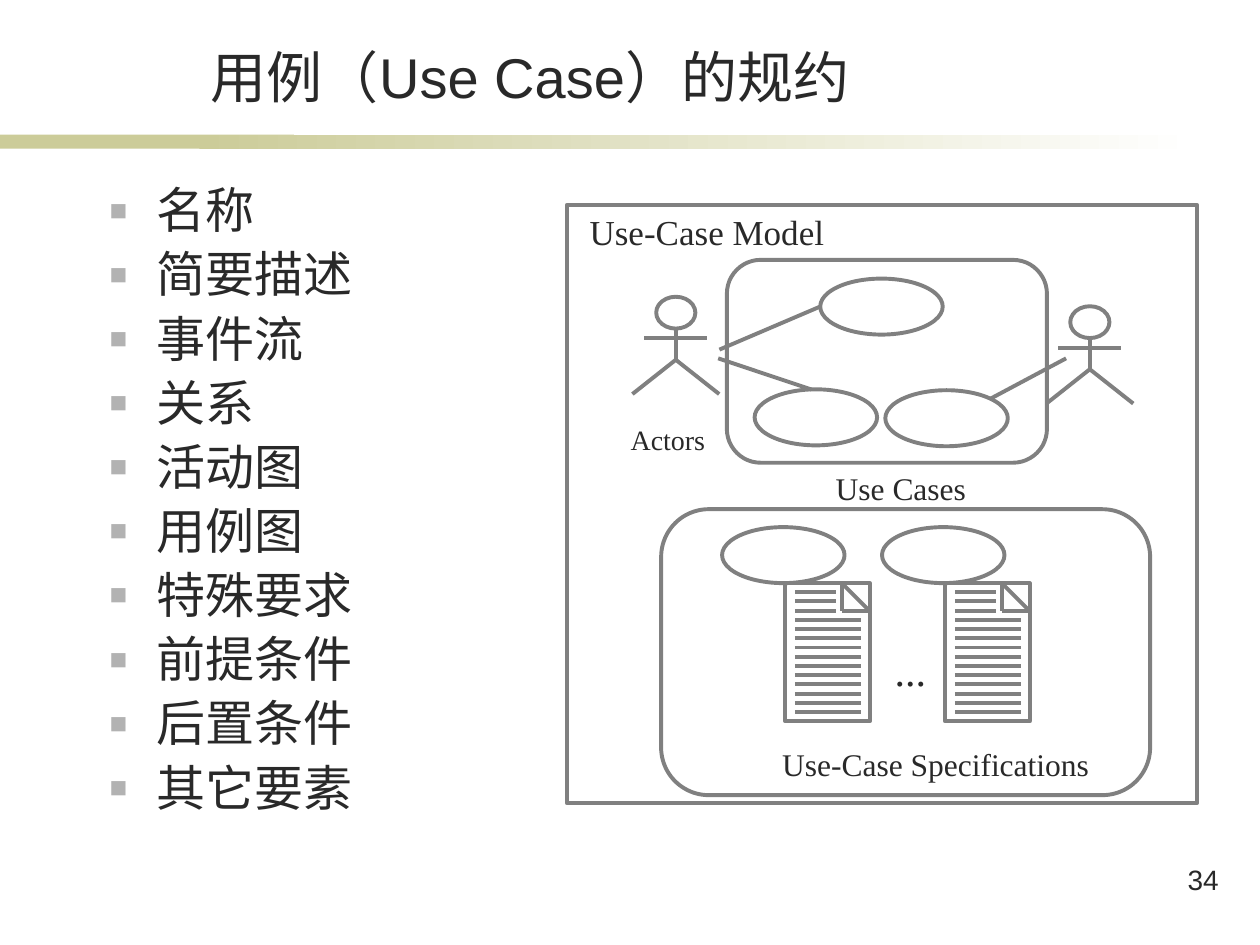
from lxml.etree import SubElement
from pptx import Presentation
from pptx.dml.color import RGBColor
from pptx.enum.shapes import MSO_CONNECTOR as Link, MSO_SHAPE as Shape
from pptx.enum.text import MSO_ANCHOR as Anchor, MSO_AUTO_SIZE as Fit, PP_ALIGN as Align
from pptx.oxml.ns import qn
from pptx.util import Pt

INK = RGBColor(0x29, 0x29, 0x29)
GRAY = RGBColor(0x80, 0x80, 0x80)
OLIVE = RGBColor(0xCC, 0xCC, 0x99)
WHITE = RGBColor(0xFF, 0xFF, 0xFF)
BULLET = RGBColor(0xB2, 0xB2, 0xB2)

TITLE = "用例（Use Case）的规约"
TOPICS = ["名称", "简要描述", "事件流", "关系", "活动图",
          "用例图", "特殊要求", "前提条件", "后置条件", "其它要素"]
OVAL_WIDTH, OVAL_HEIGHT = 70, 32


def place(shape, left, top, width, height):
    shape.left, shape.top = Pt(left), Pt(top)
    shape.width, shape.height = Pt(width), Pt(height)


def write(para, text, font, size, align=None):
    para.alignment = align
    span = para.add_run()
    span.text = text
    span.font.name, span.font.size = font, Pt(size)
    span.font.color.rgb = INK


def add_label(page, text, font, size, align, left, top, width, height):
    box = page.shapes.add_textbox(Pt(left), Pt(top), Pt(width), Pt(height))
    box.text_frame.word_wrap = True
    write(box.text_frame.paragraphs[0], text, font, size, align)


def outline(shape):
    shape.shadow.inherit = False
    shape.fill.background()
    shape.line.color.rgb = GRAY
    shape.line.width = Pt(2.25)


def add_outline(page, kind, left, top, width, height):
    shape = page.shapes.add_shape(kind, Pt(left), Pt(top), Pt(width), Pt(height))
    outline(shape)


def add_oval(page, left, top):
    add_outline(page, Shape.OVAL, left, top, OVAL_WIDTH, OVAL_HEIGHT)


def add_line(page, x1, y1, x2, y2):
    line = page.shapes.add_connector(Link.STRAIGHT, Pt(x1), Pt(y1), Pt(x2), Pt(y2))
    line.line.color.rgb = GRAY
    line.line.width = Pt(2.25)
    SubElement(line._element.spPr, qn("a:effectLst"))


def add_title(page, left, top, width, height):
    title = page.shapes.title
    place(title, left, top, width, height)
    frame = title.text_frame
    frame.auto_size = Fit.NONE
    frame.vertical_anchor = Anchor.BOTTOM
    write(frame.paragraphs[0], TITLE, "Arial", 32, Align.CENTER)


def add_rule(page, left, top, width, height):
    solid_width = 168
    solid = page.shapes.add_shape(
        Shape.RECTANGLE, Pt(left), Pt(top), Pt(solid_width), Pt(height))
    solid.fill.solid()
    solid.fill.fore_color.rgb = OLIVE
    fade_left = left + 114
    fade = page.shapes.add_shape(
        Shape.RECTANGLE, Pt(fade_left), Pt(top), Pt(left + width - fade_left), Pt(height))
    fade.fill.gradient()
    fade.fill.gradient_angle = 0
    for stop, color in zip(fade.fill.gradient_stops, (OLIVE, WHITE)):
        stop.color.rgb = color
    for bar in (solid, fade):
        bar.shadow.inherit = False
        bar.line.fill.background()


def add_bullet(para):
    props = para._p.get_or_add_pPr()
    props.set("marL", str(Pt(26.8)))
    props.set("indent", str(Pt(-26.8)))
    SubElement(SubElement(props, qn("a:buClr")), qn("a:srgbClr"), val=str(BULLET))
    SubElement(props, qn("a:buSzPct"), val="60000")
    SubElement(props, qn("a:buFont"), typeface="Arial")
    SubElement(props, qn("a:buChar"), char="■")


def add_topics(page, left, top, width, height):
    body = page.placeholders[1]
    place(body, left, top, width, height)
    frame = body.text_frame
    frame.auto_size = Fit.NONE
    frame.margin_left = frame.margin_right = Pt(8.6)
    frame.margin_top = frame.margin_bottom = Pt(4.3)
    for index, topic in enumerate(TOPICS):
        para = frame.add_paragraph() if index else frame.paragraphs[0]
        para.line_spacing = 0.9
        para.space_before = Pt(6.4)
        add_bullet(para)
        write(para, topic, "Cabin", 28)


def add_actor(page, left, top):
    width, height = 49.6, 55.6
    center, hip = left + width / 2, top + 36
    add_outline(page, Shape.OVAL, center - 11.2, top, 22.4, 18.2)
    add_line(page, center, top + 18.2, center, hip)
    add_line(page, center - 18, top + 23.6, center + 18, top + 23.6)
    pen = page.shapes.build_freeform(Pt(left), Pt(top + height))
    pen.add_line_segments(
        [(Pt(center), Pt(hip)), (Pt(left + width), Pt(top + height))], close=False)
    outline(pen.convert_to_shape())


def add_document(page, left, top):
    width, height, fold = 48.4, 79, 16
    right, crease = left + width, left + width - fold
    add_outline(page, Shape.RECTANGLE, left, top, width, height)
    add_line(page, crease, top, right, top + fold)
    add_line(page, crease, top, crease, top + fold)
    add_line(page, right, top + fold, crease, top + fold)
    for row in range(14):
        y = top + 5.2 + row * 5.27
        add_line(page, left + 5.6, y, left + (29 if row < 3 else 43.2), y)


def add_use_cases(page, left, top):
    for x, y in ((144.7, 42.2), (107.2, 105.5), (181.9, 106)):
        add_oval(page, left + x, top + y)
    for x, y in ((37.4, 52.6), (274, 58)):
        add_actor(page, left + x, top + y)
    for x1, y1, x2, y2 in ((87.1, 82.8, 144.7, 58.2),
                           (86.4, 87.8, 139.7, 105.6),
                           (241.9, 110.9, 285.2, 87.8)):
        add_line(page, left + x1, top + y1, left + x2, top + y2)
    add_outline(page, Shape.ROUNDED_RECTANGLE, left + 91.4, top + 31.5, 182.9, 115.9)


def add_specifications(page, left, top):
    add_outline(page, Shape.ROUNDED_RECTANGLE, left + 53.8, top + 174, 279.4, 163.4)
    for x in (88.6, 180):
        add_oval(page, left + x, top + 184.2)
        add_document(page, left + x + 36, top + 184.2 + OVAL_HEIGHT)


def add_model(page, left, top, width, height):
    add_outline(page, Shape.RECTANGLE, left, top, width, height)
    add_use_cases(page, left, top)
    add_specifications(page, left, top)
    labels = [
        ("Use-Case Model", 20, Align.LEFT, 5.8, 0, 156, 56),
        ("Actors", 16, Align.CENTER, 23.8, 121, 67.7, 27.4),
        ("Use Cases", 18, Align.CENTER, 139.7, 147.6, 102.2, 51),
        ("...", 24, Align.CENTER, 174, 247.7, 44.4, 65.5),
        ("Use-Case Specifications", 18, Align.LEFT, 115.9, 305.3, 224.6, 30.2),
    ]
    for text, size, align, x, y, wide, high in labels:
        add_label(page, text, "Times New Roman", size, align, left + x, top + y, wide, high)


def main():
    deck = Presentation()
    deck.slide_width, deck.slide_height = Pt(720), Pt(540)
    page = deck.slides.add_slide(deck.slide_layouts[1])
    add_rule(page, 0, 77, 684, 8)
    add_title(page, 82, 21, 442, 45.4)
    add_topics(page, 54, 102.2, 244, 377.3)
    add_model(page, 324, 117, 360, 342)
    add_label(page, "34", "Arial", 16, Align.RIGHT, 630, 489.6, 73.4, 36)
    deck.save("out.pptx")


if __name__ == "__main__":
    main()
